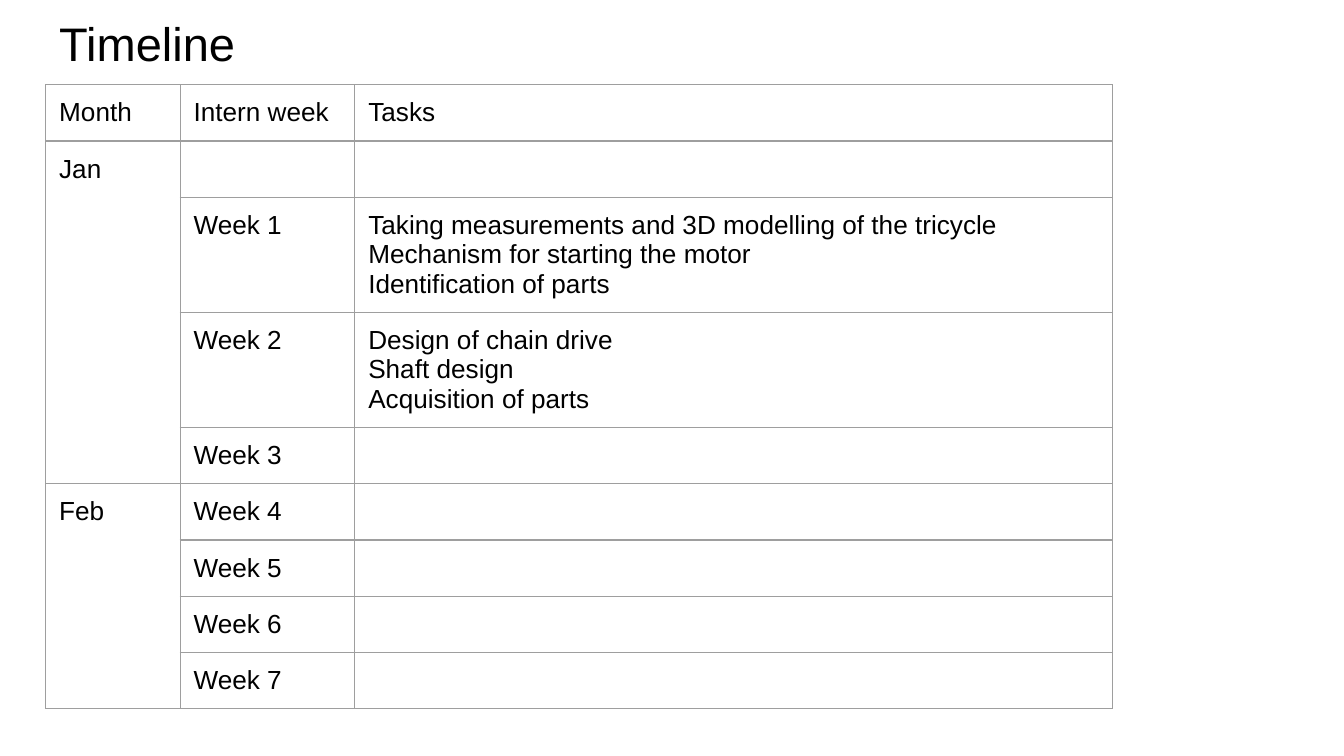
from lxml.etree import SubElement
from pptx import Presentation
from pptx.dml.color import RGBColor
from pptx.enum.text import MSO_ANCHOR, MSO_AUTO_SIZE, PP_ALIGN
from pptx.oxml import parse_xml
from pptx.oxml.ns import nsdecls, qn
from pptx.util import Inches, Pt

BLACK = RGBColor(0x00, 0x00, 0x00)
GREY = RGBColor(0x9E, 0x9E, 0x9E)
FONT = "Arial"
SIZE = Pt(14)
PAD = Inches(0.1)

TITLE = "Timeline"
HEAD = ("Month", "Intern week", "Tasks")
MONTHS = [
    ("Jan", [
        ("", []),
        ("Week 1", ["Taking measurements and 3D modelling of the tricycle",
                    "Mechanism for starting the motor",
                    "Identification of parts"]),
        ("Week 2", ["Design of chain drive", "Shaft design",
                    "Acquisition of parts"]),
        ("Week 3", []),
    ]),
    ("Feb", [(f"Week {n}", []) for n in range(4, 8)]),
]
COLS = (1, 1.3, 5.64)
LEFT, TOP = 0.34, 0.63
ROW, TALL = 0.41, 0.84


def style(par, size):
    par.font.name = FONT
    par.font.size = size
    par.font.color.rgb = BLACK


def border(cell):
    props = cell._tc.get_or_add_tcPr()
    for i, side in enumerate("LRTB"):
        props.insert(i, parse_xml(
            f'<a:ln{side} {nsdecls("a")} w="{Pt(0.75)}"><a:solidFill>'
            f'<a:srgbClr val="{GREY}"/></a:solidFill></a:ln{side}>'))


def format_cell(cell):
    cell.fill.background()
    cell.margin_left = cell.margin_right = PAD
    cell.margin_top = cell.margin_bottom = PAD
    cell.vertical_anchor = MSO_ANCHOR.TOP
    for par in cell.text_frame.paragraphs:
        style(par, SIZE)
        if not par.text:
            # An empty cell takes its line height from the end mark
            SubElement(par._p, qn("a:endParaRPr"), sz=str(int(SIZE.pt * 100)))
    border(cell)


def add_title(slide):
    title = slide.shapes.title
    title.left, title.top = Inches(LEFT), Inches(0)
    title.width, title.height = Inches(9.32), Inches(TOP)
    frame = title.text_frame
    frame.text = TITLE
    frame.auto_size = MSO_AUTO_SIZE.NONE
    frame.vertical_anchor = MSO_ANCHOR.BOTTOM
    frame.margin_left = frame.margin_right = PAD
    frame.margin_top = frame.margin_bottom = PAD
    par = frame.paragraphs[0]
    par.alignment = PP_ALIGN.LEFT
    style(par, Pt(25.2))


def add_plan(slide):
    rows, spans = [HEAD], []
    for month, weeks in MONTHS:
        spans.append((len(rows), len(rows) + len(weeks) - 1))
        for i, (week, tasks) in enumerate(weeks):
            rows.append((month if i == 0 else "", week, "\n".join(tasks)))
    highs = [TALL if "\n" in row[2] else ROW for row in rows]
    table = slide.shapes.add_table(
        len(rows), len(COLS), Inches(LEFT), Inches(TOP),
        Inches(sum(COLS)), Inches(sum(highs))).table
    table.first_row = table.horz_banding = False
    for col, wide in zip(table.columns, COLS):
        col.width = Inches(wide)
    for r, (row, high) in enumerate(zip(rows, highs)):
        table.rows[r].height = Inches(high)
        for c, text in enumerate(row):
            cell = table.cell(r, c)
            cell.text = text
            format_cell(cell)
    for first, last in spans:
        table.cell(first, 0).merge(table.cell(last, 0))


def main():
    deck = Presentation()
    deck.slide_width = Inches(10)
    deck.slide_height = deck.slide_width * 9 // 16
    slide = deck.slides.add_slide(deck.slide_layouts[5])
    add_title(slide)
    add_plan(slide)
    deck.save("out.pptx")


if __name__ == "__main__":
    main()
